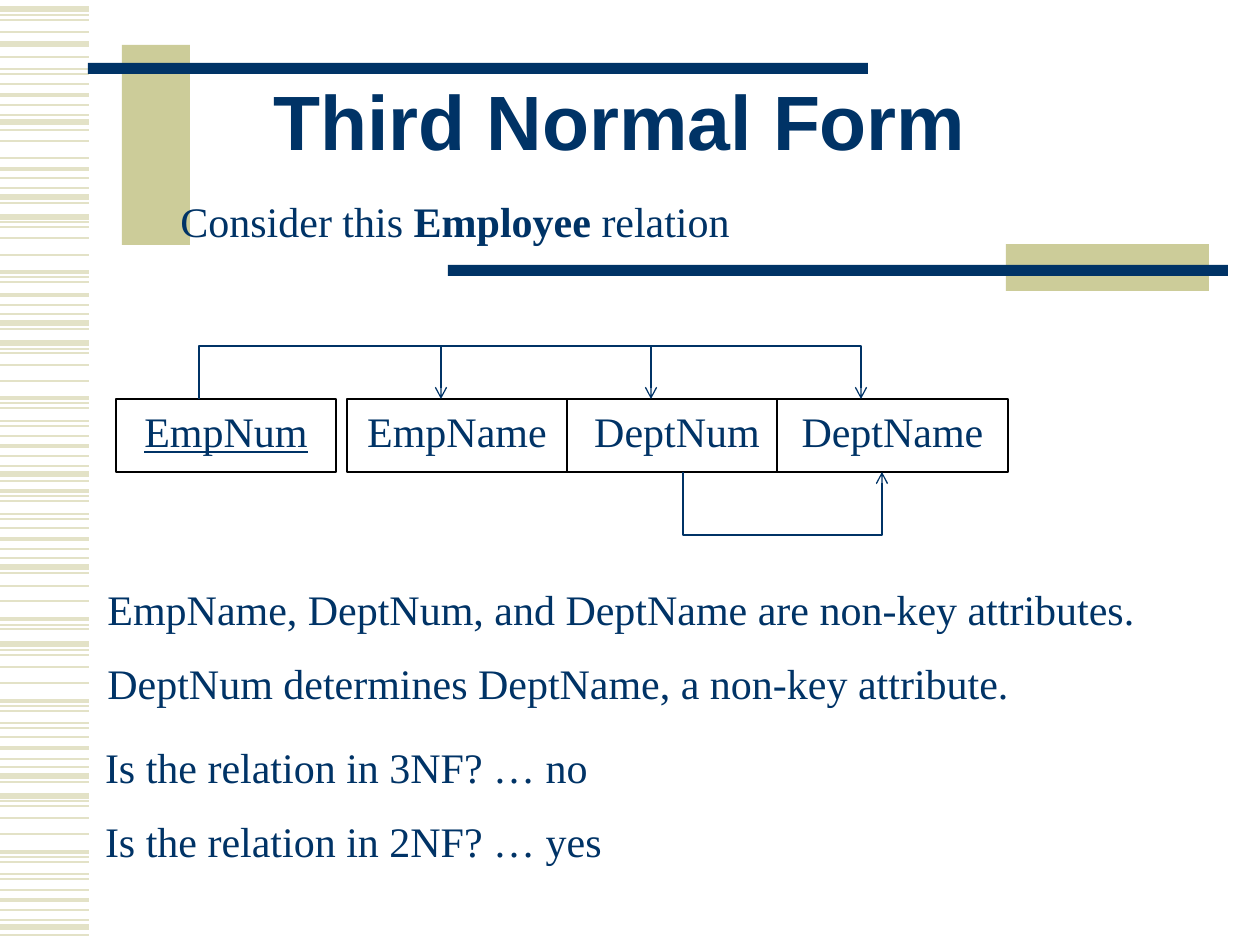
from lxml.etree import SubElement
from pptx import Presentation
from pptx.dml.color import RGBColor
from pptx.enum.shapes import MSO_CONNECTOR, MSO_SHAPE
from pptx.enum.text import MSO_ANCHOR, PP_ALIGN
from pptx.oxml.ns import qn
from pptx.util import Emu, Pt

SCALE = 914400 / 126
NAVY = RGBColor(0x00, 0x33, 0x66)
KHAKI = RGBColor(0xCC, 0xCC, 0x99)
PALE_KHAKI = RGBColor(0xE3, 0xE2, 0xC7)
BLACK = RGBColor(0, 0, 0)
WHITE = RGBColor(0xFF, 0xFF, 0xFF)

STRIPE_WIDTH = 89
# Line weight in points: heights of the stripes down the left margin
STRIPES = {
    3: [9, 44, 122, 197, 217, 323, 343, 474, 567, 644, 776, 796, 927],
    2.25: [95, 169, 272, 295, 398, 446, 491, 539, 619, 701, 748, 852, 900],
    1.5: [57, 74, 105, 130, 178, 203, 282, 305, 329, 408, 426, 456, 481,
          501, 519, 549, 573, 629, 711, 728, 759, 782, 862, 879, 910, 935],
    1: [20, 32, 84, 141, 158, 227, 238, 255, 353, 365, 381, 436, 528, 586,
        601, 655, 667, 683, 737, 806, 818, 834, 890],
    0.75: [15, 69, 115, 188, 222, 277, 314, 349, 403, 421, 466, 496, 514,
           558, 625, 650, 706, 723, 767, 801, 857, 874, 920],
}
BARS = [
    (122, 45, 68, 200, KHAKI),
    (88, 63, 780, 11, NAVY),
    (1006, 244, 203, 47, KHAKI),
    (448, 265, 780, 11, NAVY),
]
ROW_TOP, ROW_HEIGHT = 399, 73
ROW_BOTTOM = ROW_TOP + ROW_HEIGHT
ATTRIBUTES = [
    ("EmpNum", 116, 220),
    ("EmpName", 347, 220),
    ("DeptNum", 567, 220),
    ("DeptName", 777, 231),
]
KEY_LEVEL, DEPT_LEVEL = 346, 535
DEPENDENCIES = [
    [(199, ROW_TOP), (199, KEY_LEVEL), (441, KEY_LEVEL), (441, ROW_TOP)],
    [(441, KEY_LEVEL), (651, KEY_LEVEL), (651, ROW_TOP)],
    [(651, KEY_LEVEL), (861, KEY_LEVEL), (861, ROW_TOP)],
    [(683, ROW_BOTTOM), (683, DEPT_LEVEL), (882, DEPT_LEVEL), (882, ROW_BOTTOM)],
]


def px(length):
    return Emu(round(length * SCALE))


def write_text(shape, *lines, size=24, font="Times New Roman", bold=False,
               underline=False, align=PP_ALIGN.LEFT, gap=13.5, line_spacing=None):
    """Write one paragraph per line; a line is a string or (text, bold) pairs."""
    frame = shape.text_frame
    frame.word_wrap = True
    for index, line in enumerate(lines):
        para = frame.add_paragraph() if index else frame.paragraphs[0]
        para.alignment = align
        if index:
            para.space_before = Pt(gap)
        if line_spacing:
            para.line_spacing = line_spacing
        spans = [(line, bold)] if isinstance(line, str) else line
        for text, span_bold in spans:
            span = para.add_run()
            span.text = text
            span.font.name = font
            span.font.size = Pt(size)
            span.font.bold = span_bold
            span.font.underline = underline
            span.font.color.rgb = NAVY


def add_text(page, left, top, width, height, *lines, inset=None, anchor=MSO_ANCHOR.TOP,
             **text_format):
    box = page.shapes.add_textbox(px(left), px(top), px(width), px(height))
    box.text_frame.vertical_anchor = anchor
    if inset is not None:
        box.text_frame.margin_left = px(inset)
    write_text(box, *lines, **text_format)


def add_rectangle(page, left, top, width, height, fill, line=None):
    box = page.shapes.add_shape(MSO_SHAPE.RECTANGLE, px(left), px(top), px(width), px(height))
    box.shadow.inherit = False
    box.fill.solid()
    box.fill.fore_color.rgb = fill
    if line is None:
        box.line.fill.background()
    else:
        box.line.color.rgb = line
        box.line.width = Pt(0.75)
    return box


def add_stripe(page, y, weight):
    stripe = page.shapes.add_connector(
        MSO_CONNECTOR.STRAIGHT, 0, px(y), px(STRIPE_WIDTH), px(y))
    stripe.line.color.rgb = PALE_KHAKI
    stripe.line.width = Pt(weight)
    SubElement(stripe._element.spPr, qn("a:effectLst"))


def add_dependency(page, points):
    """Draw an open path that ends in an arrowhead."""
    builder = page.shapes.build_freeform(*points[0], scale=SCALE)
    builder.add_line_segments(points[1:], close=False)
    arrow = builder.convert_to_shape()
    arrow.shadow.inherit = False
    arrow.fill.background()
    arrow.line.color.rgb = NAVY
    arrow.line.width = Pt(0.75)
    SubElement(arrow.line._get_or_add_ln(), qn("a:tailEnd"), type="arrow")


def add_attribute(page, name, left, width):
    box = add_rectangle(page, left, ROW_TOP, width, ROW_HEIGHT, WHITE, line=BLACK)
    box.text_frame.vertical_anchor = MSO_ANCHOR.TOP
    write_text(box, name, align=PP_ALIGN.CENTER, underline=name == "EmpNum")


def main():
    deck = Presentation()
    deck.slide_width, deck.slide_height = px(1260), px(945)
    page = deck.slides.add_slide(deck.slide_layouts[6])

    for weight, heights in STRIPES.items():
        for y in heights:
            add_stripe(page, y, weight)
    for bar in BARS:
        add_rectangle(page, *bar)

    add_text(page, 53, 53, 1134, 147, "Third Normal Form", size=44, font="Arial",
             bold=True, align=PP_ALIGN.CENTER, anchor=MSO_ANCHOR.MIDDLE, line_spacing=0.85)
    for attribute in ATTRIBUTES:
        add_attribute(page, *attribute)
    for points in DEPENDENCIES:
        add_dependency(page, points)

    add_text(page, 95, 577, 1092, 140,
             "EmpName, DeptNum, and DeptName are non-key attributes.",
             "DeptNum determines DeptName, a non-key attribute.")
    add_text(page, 168, 189, 630, 63,
             [("Consider this", False), (" Employee ", True), ("relation", False)])
    add_text(page, 105, 735, 546, 140,
             "Is the relation in 3NF? … no",
             "Is the relation in 2NF? … yes", inset=0)
    deck.save("out.pptx")


if __name__ == "__main__":
    main()
